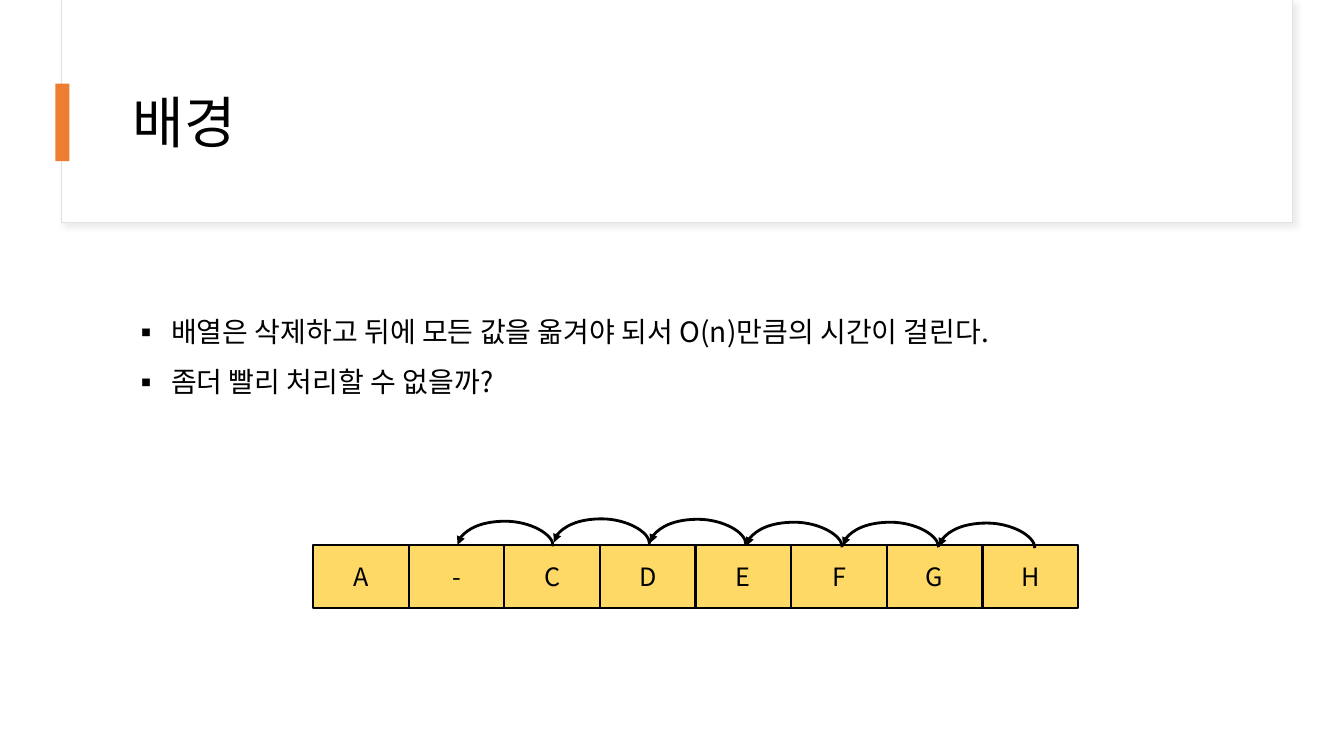
from lxml.etree import SubElement as Sub
from pptx import Presentation
from pptx.dml.color import RGBColor as Rgb
from pptx.enum.shapes import MSO_CONNECTOR as Link, MSO_SHAPE as Form
from pptx.enum.text import MSO_ANCHOR as Anchor, PP_ALIGN as Align
from pptx.oxml.ns import qn
from pptx.util import Inches, Pt

# The slide is a grid of 96 columns by 54 rows; boxes are left, top, width, height.
UNIT = Pt(10)
FONT = "Noto Sans CJK KR"
BLACK = Rgb(0, 0, 0)
WHITE = Rgb(0xFF, 0xFF, 0xFF)
EDGE = Rgb(0xE1, 0xE1, 0xE1)
ORANGE = Rgb(0xED, 0x7D, 0x31)
YELLOW = Rgb(0xFF, 0xD9, 0x66)
SHADE = "D9D9D9"


def grid(*box):
    """Turn grid units into slide lengths."""
    return [round(n * UNIT) for n in box]


def write(para, text, size):
    """Add one black run to a paragraph."""
    run = para.add_run()
    run.text = text
    font = run.font
    font.name, font.size = FONT, Pt(size)
    font.color.rgb = BLACK
    east = Sub(run._r.get_or_add_rPr(), qn("a:ea"))
    east.set("typeface", FONT)


def block(slide, box, fill, line=None, width=0.75):
    """Draw a flat rectangle, with a line if a colour is given."""
    shape = slide.shapes.add_shape(Form.RECTANGLE, *grid(*box))
    shape.shadow.inherit = False
    shape.fill.solid()
    shape.fill.fore_color.rgb = fill
    if line is None:
        shape.line.fill.background()
    else:
        shape.line.color.rgb = line
        shape.line.width = Pt(width)
    return shape


def shade(shape):
    """Give a shape a soft shadow to the lower right."""
    fx = shape._element.spPr.find(qn("a:effectLst"))
    outer = Sub(fx, qn("a:outerShdw"), blurRad=str(Pt(4)), dist=str(Pt(3)),
                dir="2700000", algn="tl", rotWithShape="0")
    tint = Sub(outer, qn("a:srgbClr"), val=SHADE)
    Sub(tint, qn("a:alpha"), val="50000")


def frame(slide, box):
    """Add an empty wrapping text box and return its text frame."""
    text = slide.shapes.add_textbox(*grid(*box)).text_frame
    text.word_wrap = True
    return text


def header(slide, box, title):
    """Draw the title card with its orange mark."""
    x, y, w, h = box
    shade(block(slide, box, WHITE, EDGE))
    block(slide, (x + 0.07, y, w - 0.07, h - 0.07), WHITE)
    text = frame(slide, (x + 4.39, y + 4.32, 80.06, 9.29))
    text.vertical_anchor = Anchor.MIDDLE
    para = text.paragraphs[0]
    para.line_spacing = 0.9
    write(para, title, 40)
    block(slide, (x - 0.43, y + 5.98, 1, 5.54), ORANGE)


def points(slide, box, lines):
    """List the lines with square bullets."""
    text = frame(slide, box)
    for i, line in enumerate(lines):
        para = text.add_paragraph() if i else text.paragraphs[0]
        para.line_spacing = 1.5
        prop = para._p.get_or_add_pPr()
        dent = Inches(0.38)
        prop.set("marL", str(dent))
        prop.set("indent", str(-dent))
        Sub(prop, qn("a:buFont"), typeface=FONT)
        Sub(prop, qn("a:buChar"), char="▪")
        write(para, line, 20)


def hop(slide, tip, base, reach):
    """Arch an arrow leftwards to the tip from a point one reach away."""
    thin = 0.1
    x = tip + (reach - thin) / 2
    y = base - (thin + reach) / 2
    link = slide.shapes.add_connector(
        Link.CURVE, *grid(x, y, x + thin, y + reach))
    link.line.color.rgb = BLACK
    link.line.width = Pt(2)
    prop = link._element.spPr
    turn = prop.find(qn("a:xfrm"))
    turn.set("rot", "16200000")
    turn.set("flipV", "1")
    bend = prop.find(qn("a:prstGeom")).find(qn("a:avLst"))
    Sub(bend, qn("a:gd"), name="adj1", fmla="val 1800000")
    Sub(prop.find(qn("a:ln")), qn("a:tailEnd"), type="triangle")
    Sub(prop, qn("a:effectLst"))


def array(slide, box, names, lifts):
    """Draw a row of cells and the moves one place to the left."""
    x, y, w, h = box
    step = w / len(names)
    for i, name in enumerate(names):
        cell = block(slide, (x + i * step, y, step, h), YELLOW, BLACK, 1.5)
        text = cell.text_frame
        text.vertical_anchor = Anchor.MIDDLE
        para = text.paragraphs[0]
        para.alignment = Align.CENTER
        write(para, name, 18)
    for i, lift in enumerate(lifts):
        hop(slide, x + 1.5 * step + 0.08 + i * 6.88, y + lift, step)


def main():
    """Build and save the slide."""
    deck = Presentation()
    deck.slide_width, deck.slide_height = grid(96, 54)
    slide = deck.slides.add_slide(deck.slide_layouts[6])
    header(slide, (4.39, 0, 87.91, 15.91), "배경")
    points(slide, (8.78, 20.88, 69.48, 7.56), [
        "배열은 삭제하고 뒤에 모든 값을 옮겨야 되서 O(n)만큼의 시간이 걸린다.",
        "좀더 빨리 처리할 수 없을까?",
    ])
    array(slide, (22.36, 38.95, 54.65, 4.46), "A-CDEFGH",
          (0.07, -0.1, -0.07, 0.14, 0.14, 0.2))
    deck.save("out.pptx")


main()
